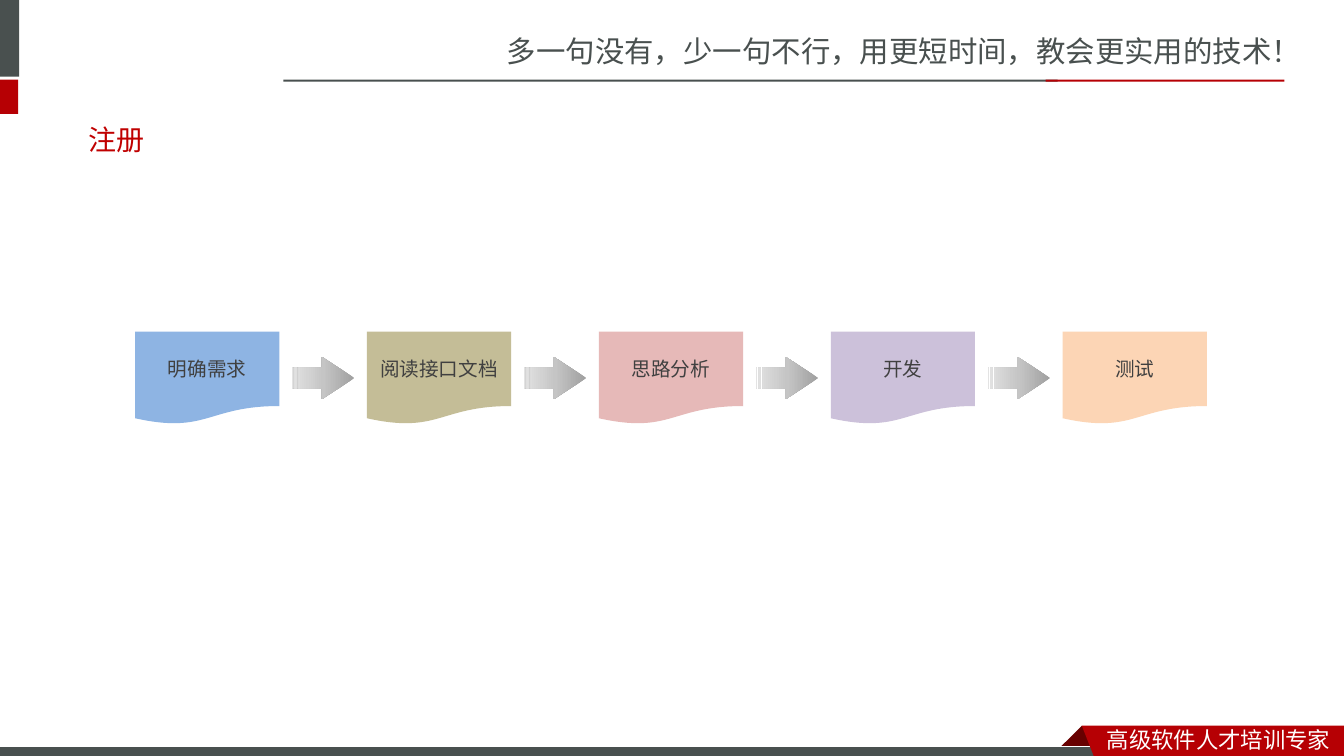
from pptx import Presentation
from pptx.dml.color import RGBColor
from pptx.enum.shapes import MSO_SHAPE as Preset
from pptx.enum.text import MSO_ANCHOR as Anchor, PP_ALIGN as Align
from pptx.oxml import parse_xml
from pptx.oxml.ns import nsdecls, qn
from pptx.util import Inches, Pt

GREY = RGBColor(0x49, 0x50, 0x4F)
RED = RGBColor(0xB6, 0x00, 0x04)
DARK_RED = RGBColor(0x68, 0x00, 0x00)
TITLE_RED = RGBColor(0xC0, 0x00, 0x00)
STEP_TEXT = RGBColor(0x40, 0x40, 0x40)
WHITE = RGBColor(0xFF, 0xFF, 0xFF)

SANS_SC = "Noto Sans CJK SC"
SANS_JP = "Noto Sans CJK JP"

STEPS = [
    ("明确需求", RGBColor(0x8E, 0xB4, 0xE3)),
    ("阅读接口文档", RGBColor(0xC4, 0xBD, 0x97)),
    ("思路分析", RGBColor(0xE6, 0xB9, 0xB8)),
    ("开发", RGBColor(0xCC, 0xC1, 0xDA)),
    ("测试", RGBColor(0xFC, 0xD5, 0xB5)),
]
STEP_LEFT, STEP_TOP, STEP_PITCH = 1.34, 3.29, 2.3
STEP_WIDTH, STEP_HEIGHT = 1.43, 0.92
ARROW_WIDTH, ARROW_HEIGHT = 0.62, 0.42
ARROW_STOPS = [(0, "A0A0A0"), (50, "C5C5C5"), (100, "E3E3E3")]


def write(shape, text, size, font_name, color, align=Align.LEFT):
    paragraph = shape.text_frame.paragraphs[0]
    paragraph.text = text
    paragraph.alignment = align
    font = paragraph.font
    font.size = Pt(size)
    font.color.rgb = color
    font.name = font_name
    east_asian = parse_xml(f'<a:ea {nsdecls("a")} typeface="{font_name}"/>')
    font._element.find(qn("a:latin")).addnext(east_asian)


def paint(shape, fill, line=None):
    shape.shadow.inherit = False
    shape.fill.solid()
    shape.fill.fore_color.rgb = fill
    if line is None:
        shape.line.fill.background()
    else:
        shape.line.color.rgb = line
        shape.line.width = Pt(0.75)


def add_preset(slide, preset, box):
    return slide.shapes.add_shape(preset, *map(Inches, box))


def add_bar(slide, box, fill, line=None):
    paint(add_preset(slide, Preset.RECTANGLE, box), fill, line)


def add_outline(slide, points, fill):
    start, *rest = [(Inches(x), Inches(y)) for x, y in points]
    builder = slide.shapes.build_freeform(*start)
    builder.add_line_segments(rest)
    paint(builder.convert_to_shape(), fill)


def add_label(slide, box, text, size, font_name, color, anchor=Anchor.TOP):
    label = slide.shapes.add_textbox(*map(Inches, box))
    label.text_frame.word_wrap = True
    label.text_frame.vertical_anchor = anchor
    write(label, text, size, font_name, color)


def add_step(slide, left, text, fill):
    step = add_preset(slide, Preset.FLOWCHART_DOCUMENT,
                      (left, STEP_TOP, STEP_WIDTH, STEP_HEIGHT))
    paint(step, fill)
    frame = step.text_frame
    frame.word_wrap = True
    frame.vertical_anchor = Anchor.MIDDLE
    frame.margin_left = frame.margin_right = 0
    frame.margin_top = frame.margin_bottom = 0
    write(step, text, 14, SANS_JP, STEP_TEXT, Align.CENTER)


def add_arrow(slide, left):
    """Striped arrow that darkens towards its head."""
    top = STEP_TOP + (STEP_HEIGHT - ARROW_HEIGHT) / 2
    arrow = add_preset(slide, Preset.STRIPED_RIGHT_ARROW,
                       (left, top, ARROW_WIDTH, ARROW_HEIGHT))
    arrow.adjustments[0] = 0.5
    arrow.adjustments[1] = 0.77
    arrow.shadow.inherit = False
    arrow.line.fill.background()
    stops = "".join(
        f'<a:gs pos="{percent * 1000}"><a:srgbClr val="{color}"/></a:gs>'
        for percent, color in ARROW_STOPS)
    gradient = parse_xml(
        f'<a:gradFill {nsdecls("a")} rotWithShape="1"><a:gsLst>{stops}</a:gsLst>'
        '<a:lin ang="10800000" scaled="0"/></a:gradFill>')
    arrow._element.spPr.find(qn("a:prstGeom")).addnext(gradient)


def add_header(slide):
    add_label(slide, (4.93, 0.28, 8.4, 0.47),
              "多一句没有，少一句不行，用更短时间，教会更实用的技术！",
              21, SANS_SC, GREY)
    add_bar(slide, (-0.06, 0, 0.25, 0.76), GREY)
    add_bar(slide, (-0.06, 0.79, 0.24, 0.34), RED)
    add_bar(slide, (2.81, 0.79, 7.68, 0.02), GREY)
    add_bar(slide, (10.37, 0.79, 2.37, 0.02), RED)


def add_footer(slide):
    add_outline(slide, [(10.73, 7.2), (10.95, 7.42), (10.94, 7.43),
                        (10.52, 7.43), (10.51, 7.42)], DARK_RED)
    add_bar(slide, (-0.01, 7.41, 11, 0.12), GREY, WHITE)
    add_outline(slide, [(10.73, 7.2), (13.33, 7.2), (13.33, 7.54),
                        (10.86, 7.53)], RED)
    add_label(slide, (10.88, 7.15, 2.45, 0.37), "高级软件人才培训专家",
              16, SANS_SC, WHITE)


def add_flow(slide):
    gap = STEP_PITCH - STEP_WIDTH
    for index, (text, fill) in enumerate(STEPS):
        left = STEP_LEFT + index * STEP_PITCH
        add_step(slide, left, text, fill)
        if index < len(STEPS) - 1:
            add_arrow(slide, left + STEP_WIDTH + (gap - ARROW_WIDTH) / 2)


def main():
    presentation = Presentation()
    presentation.slide_width = Inches(13.33)
    presentation.slide_height = Inches(7.5)
    slide = presentation.slides.add_slide(presentation.slide_layouts[6])
    add_header(slide)
    add_footer(slide)
    add_label(slide, (0.78, 1.1, 11.7, 0.57), "注册", 20, "Arial",
              TITLE_RED, Anchor.MIDDLE)
    add_flow(slide)
    presentation.save("out.pptx")


if __name__ == "__main__":
    main()
